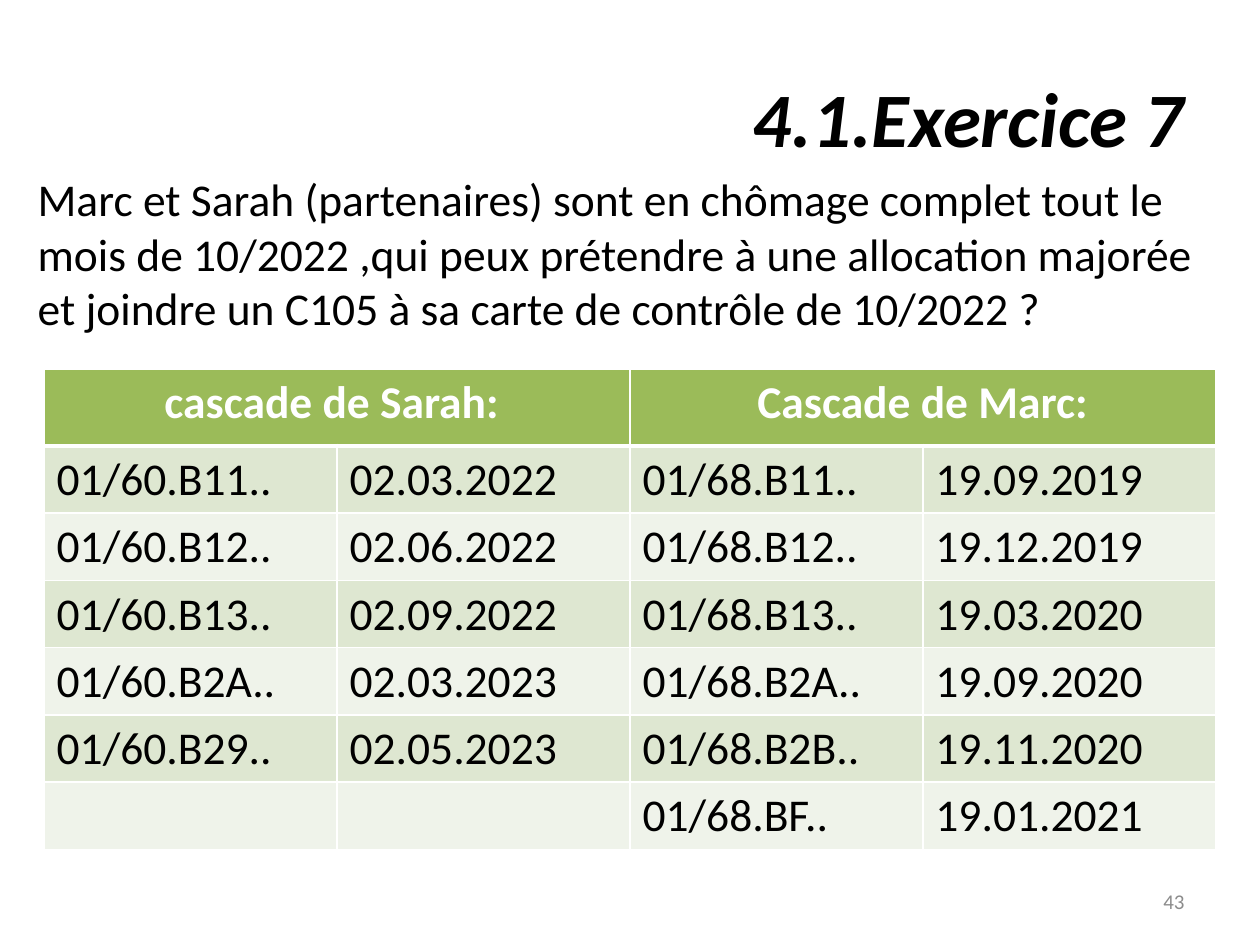
from lxml.etree import SubElement as Sub
from pptx import Presentation
from pptx.dml.color import RGBColor as RGB
from pptx.enum.text import MSO_ANCHOR as Anchor, PP_ALIGN as Align
from pptx.oxml.ns import qn
from pptx.util import Inches, Pt

FONT = "Calibri"
COLORS = {
    "text": "000000",
    "white": "FFFFFF",
    "head": "9BBB59",
    "odd": "DEE7D1",
    "even": "EFF3EA",
    "number": "8C8C8C",
}
HEADS = ["cascade de Sarah: ", "Cascade de Marc:"]
ROWS = [
    ["01/60.B11..", "02.03.2022", "01/68.B11..", "19.09.2019"],
    ["01/60.B12..", "02.06.2022", "01/68.B12..", "19.12.2019"],
    ["01/60.B13..", "02.09.2022", "01/68.B13..", "19.03.2020"],
    ["01/60.B2A..", "02.03.2023", "01/68.B2A..", "19.09.2020"],
    ["01/60.B29..", "02.05.2023", "01/68.B2B..", "19.11.2020"],
    ["", "", "01/68.BF..", "19.01.2021"],
]
QUESTION = (
    "Marc et Sarah (partenaires) sont en chômage complet tout le mois de 10/2022 "
    ",qui peux prétendre à une allocation majorée et joindre un C105 à sa carte "
    "de contrôle de 10/2022 ?"
)


def write(frame, text, size, color="text", align=Align.LEFT, bold=False, italic=False):
    para = frame.paragraphs[0]
    para.text = text
    para.alignment = align
    font = para.font
    font.name, font.size, font.bold, font.italic = FONT, Pt(size), bold, italic
    font.color.rgb = RGB.from_string(COLORS[color])


def add_text(slide, box, text, size, anchor=Anchor.TOP, **style):
    frame = slide.shapes.add_textbox(*map(Inches, box)).text_frame
    frame.word_wrap = True
    frame.vertical_anchor = anchor
    write(frame, text, size, **style)


def paint(cell, fill, under=1):
    """Give a cell white borders, the lower one of width under, and a fill."""
    props = cell._tc.get_or_add_tcPr()
    for side, width in zip("LRTB", (1, 1, 1, under)):
        line = Sub(props, qn(f"a:ln{side}"), w=str(Pt(width)))
        Sub(Sub(line, qn("a:solidFill")), qn("a:srgbClr"), val=COLORS["white"])
    cell.fill.solid()
    cell.fill.fore_color.rgb = RGB.from_string(COLORS[fill])


def add_cascades(slide, box, head=0.61):
    left, top, width, height = box
    cols = len(ROWS[0])
    table = slide.shapes.add_table(len(ROWS) + 1, cols, *map(Inches, box)).table
    table.first_row = table.horz_banding = False
    for col in table.columns:
        col.width = Inches(width / cols)
    for i, row in enumerate(table.rows):
        row.height = Inches((height - head) / len(ROWS) if i else head)

    for c in range(cols):
        paint(table.cell(0, c), "head", under=3)
    for i, name in enumerate(HEADS):
        cell = table.cell(0, 2 * i)
        cell.merge(table.cell(0, 2 * i + 1))
        write(cell.text_frame, name, 26, "white", Align.CENTER, bold=True)

    for r, row in enumerate(ROWS, 1):
        for c, text in enumerate(row):
            cell = table.cell(r, c)
            paint(cell, "odd" if r % 2 else "even")
            write(cell.text_frame, text, 26)


def main():
    deck = Presentation()
    deck.slide_width, deck.slide_height = Inches(10), Inches(7.5)
    slide = deck.slides.add_slide(deck.slide_layouts[6])
    add_text(slide, (0.5, 0.3, 9, 1.25), "4.1.Exercice 7", 44, Anchor.MIDDLE,
             align=Align.RIGHT, bold=True, italic=True)
    add_cascades(slide, (0.35, 2.93, 9.3, 3.81))
    add_text(slide, (7.17, 6.95, 2.33, 0.4), "43", 12, Anchor.MIDDLE,
             color="number", align=Align.RIGHT)
    add_text(slide, (0.2, 1.31, 9.61, 1.41), QUESTION, 26)
    deck.save("out.pptx")


if __name__ == "__main__":
    main()
